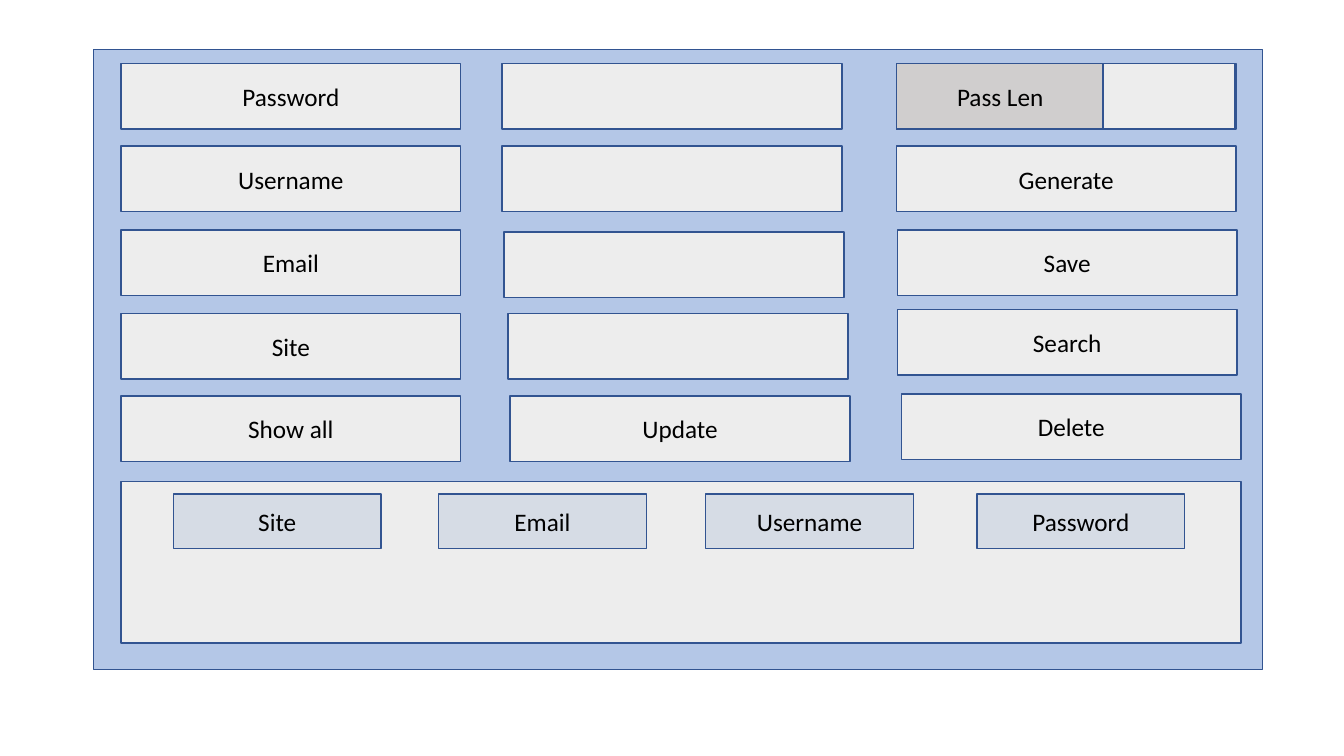
"""Build a wireframe slide of a password manager window."""
from pptx import Presentation
from pptx import util as u
from pptx.dml.color import RGBColor
from pptx.enum import shapes, text

COLORS = {
    "window": "B4C7E7",
    "field": "EDEDED",
    "label": "D0CECE",
    "header": "D6DCE5",
    "line": "325491",
    "text": "000000",
}

prs = Presentation()
prs.slide_width = u.Inches(13.33)
prs.slide_height = u.Inches(7.5)
s = prs.slides.add_slide(prs.slide_layouts[6])


def add_box(caption, left, top, width=3.37, height=0.65, fill="field", size=18, font="Calibri"):
    sp = s.shapes.add_shape(
        shapes.MSO_SHAPE.RECTANGLE,
        u.Inches(left), u.Inches(top), u.Inches(width), u.Inches(height),
    )
    sp.shadow.inherit = False
    sp.fill.solid()
    sp.fill.fore_color.rgb = RGBColor.from_string(COLORS[fill])
    sp.line.color.rgb = RGBColor.from_string(COLORS["line"])
    sp.line.width = u.Pt(1)
    if caption:
        tf = sp.text_frame
        tf.word_wrap = True
        tf.vertical_anchor = text.MSO_ANCHOR.MIDDLE
        p = tf.paragraphs[0]
        p.alignment = text.PP_ALIGN.CENTER
        r = p.add_run()
        r.text = caption
        r.font.size = u.Pt(size)
        r.font.name = font
        r.font.color.rgb = RGBColor.from_string(COLORS["text"])


add_box("", 0.93, 0.49, 11.59, 6.15, fill="window")

row_tops = [0.63, 1.45, 2.28, 3.11, 3.93]
for caption, top in zip(["Password", "Username", "Email", "Site", "Show all"], row_tops):
    add_box(caption, 1.2, top)

middle_column = [("", 4.98, 0.63), ("", 4.98, 1.45), ("", 5, 2.3), ("", 5.04, 3.11), ("Update", 5.06, 3.93)]
right_column = [("", 8.89, 0.63), ("Generate", 8.89, 1.45), ("Save", 8.9, 2.28),
                ("Search", 8.9, 3.07), ("Delete", 8.94, 3.91)]
for caption, left, top in middle_column + right_column:
    add_box(caption, left, top)

add_box("Pass Len", 8.89, 0.63, 2.06, fill="label")
add_box("", 10.94, 0.63, 1.31)

add_box("", 1.2, 4.78, 11.11, 1.6)
for caption, left in [("Site", 1.72), ("Email", 4.35), ("Username", 7), ("Password", 9.69)]:
    add_box(caption, left, 4.9, 2.06, 0.54, fill="header")

prs.save("out.pptx")
